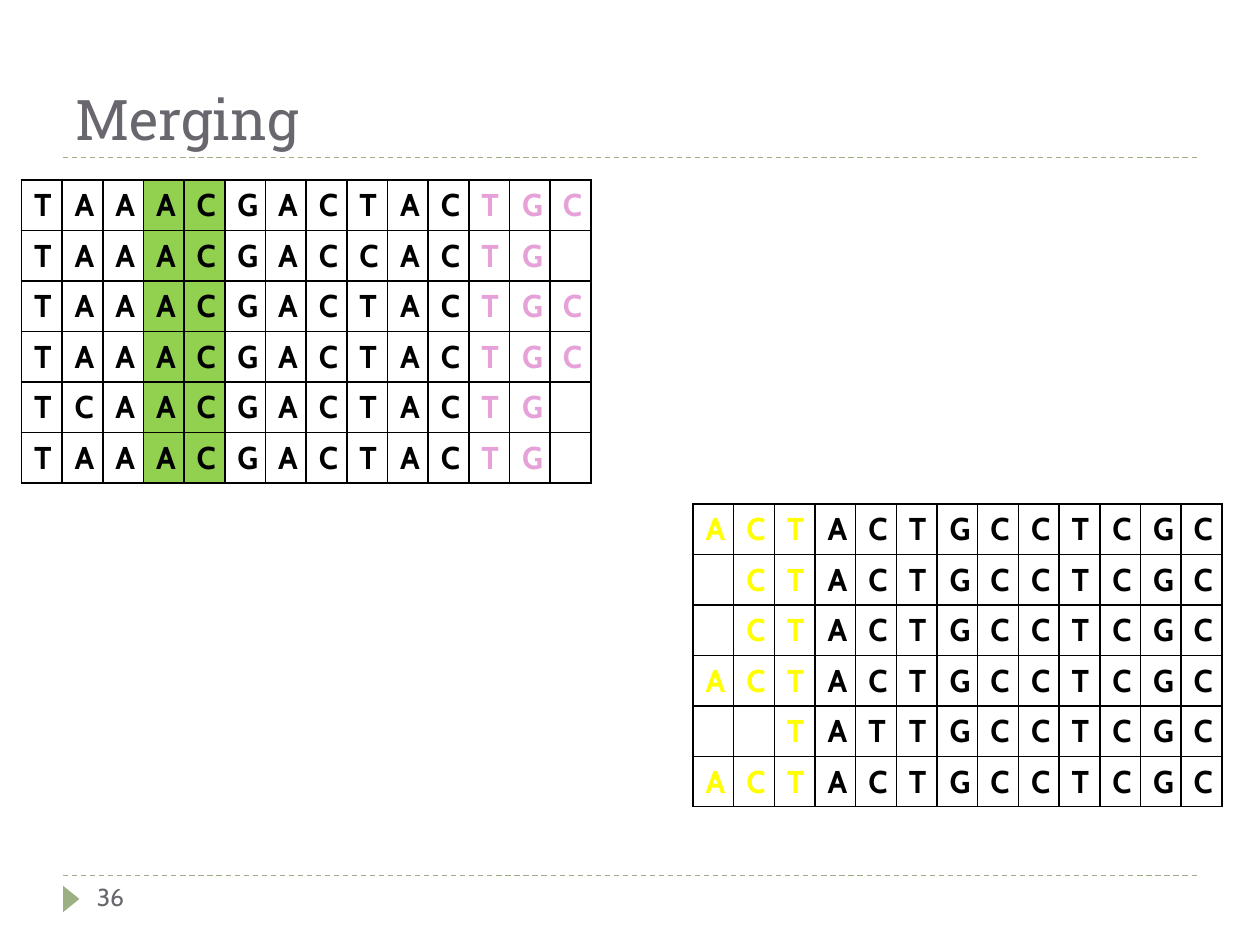
from dataclasses import dataclass

from lxml import etree
from pptx import Presentation
from pptx import util as u
from pptx.dml.color import RGBColor
from pptx.enum import dml, shapes, text
from pptx.oxml.ns import qn


@dataclass(frozen=True)
class Theme:
    serif: str = "Roboto Slab"
    sans: str = "Cabin"
    gray: str = "69676D"
    sage: str = "9CB084"
    black: str = "000000"
    white: str = "FFFFFF"
    green: str = "92D050"
    pink: str = "E5A1D8"
    yellow: str = "FFFF00"
    head: int = 32
    base: int = 18
    foot: int = 14


@dataclass(frozen=True)
class Label:
    words: str
    box: tuple[float, float, float, float]
    face: str
    size: int
    anchor: text.MSO_ANCHOR


@dataclass(frozen=True)
class Reads:
    left: float
    top: float
    width: float
    rows: tuple[str, ...]
    ends: range
    ink: str
    marks: range = range(0)


T = Theme()
HIGH = 0.4

LABELS = (
    Label("Merging", (0.5, 0.17, 9, 1.08), T.serif, T.head, text.MSO_ANCHOR.BOTTOM),
    Label("36", (0.67, 6.95, 2.17, 0.4), T.sans, T.foot, text.MSO_ANCHOR.TOP),
)
GRIDS = (
    Reads(0.17, 1.43, 4.52, (
        "TAAACGACTACTGC",
        "TAAACGACCACTG ",
        "TAAACGACTACTGC",
        "TAAACGACTACTGC",
        "TCAACGACTACTG ",
        "TAAACGACTACTG ",
    ), range(11, 14), T.pink, range(3, 5)),
    Reads(5.5, 4, 4.2, (
        "ACTACTGCCTCGC",
        " CTACTGCCTCGC",
        " CTACTGCCTCGC",
        "ACTACTGCCTCGC",
        "  TATTGCCTCGC",
        "ACTACTGCCTCGC",
    ), range(3), T.yellow),
)


def rgb(code: str) -> RGBColor:
    return RGBColor.from_string(code)


def write(para, words: str, face: str, size: int, ink: str, bold: bool = False) -> None:
    run = para.add_run()
    run.text = words
    font = run.font
    font.name, font.size, font.bold = face, u.Pt(size), bold
    font.color.rgb = rgb(ink)


def draw_rule(slide, top: float) -> None:
    rule = slide.shapes.add_connector(
        shapes.MSO_CONNECTOR.STRAIGHT,
        u.Inches(0.5), u.Inches(top), u.Inches(9.5), u.Inches(top))
    rule.line.color.rgb = rgb(T.sage)
    rule.line.width = u.Pt(0.75)
    rule.line.dash_style = dml.MSO_LINE.DASH
    etree.SubElement(rule.element.spPr, qn("a:effectLst"))


def draw_arrow(slide) -> None:
    arrow = slide.shapes.add_shape(
        shapes.MSO_SHAPE.ISOSCELES_TRIANGLE,
        u.Inches(0.46), u.Inches(7.07), u.Inches(0.21), u.Inches(0.13))
    arrow.rotation = 90
    arrow.shadow.inherit = False
    arrow.fill.solid()
    arrow.fill.fore_color.rgb = rgb(T.sage)
    arrow.line.fill.background()


def draw_label(slide, label: Label) -> None:
    box = slide.shapes.add_textbox(*map(u.Inches, label.box))
    frame = box.text_frame
    frame.word_wrap = True
    frame.vertical_anchor = label.anchor
    write(frame.paragraphs[0], label.words, label.face, label.size, T.gray)


def draw_edges(cell) -> None:
    props = cell._tc.get_or_add_tcPr()
    for side in ("lnL", "lnR", "lnT", "lnB"):
        edge = etree.SubElement(props, qn(f"a:{side}"), w=str(u.Pt(1)))
        fill = etree.SubElement(edge, qn("a:solidFill"))
        etree.SubElement(fill, qn("a:srgbClr"), val=T.black)


def draw_reads(slide, reads: Reads) -> None:
    count, wide = len(reads.rows), len(reads.rows[0])
    table = slide.shapes.add_table(
        count, wide, u.Inches(reads.left), u.Inches(reads.top),
        u.Inches(reads.width), u.Inches(HIGH * count)).table
    table.first_row = table.horz_banding = False
    for col in table.columns:
        col.width = u.Inches(reads.width / wide)
    for y, row in enumerate(reads.rows):
        for x, base in enumerate(row):
            cell = table.cell(y, x)
            draw_edges(cell)
            cell.fill.solid()
            cell.fill.fore_color.rgb = rgb(T.green if x in reads.marks else T.white)
            if base != " ":
                ink = reads.ink if x in reads.ends else T.black
                write(cell.text_frame.paragraphs[0], base, T.sans, T.base, ink, True)


def main() -> None:
    deck = Presentation()
    deck.slide_width, deck.slide_height = u.Inches(10), u.Inches(7.5)
    slide = deck.slides.add_slide(deck.slide_layouts[6])
    for top in (6.95, 1.25):
        draw_rule(slide, top)
    draw_arrow(slide)
    for label in LABELS:
        draw_label(slide, label)
    for reads in GRIDS:
        draw_reads(slide, reads)
    deck.save("out.pptx")


if __name__ == "__main__":
    main()
